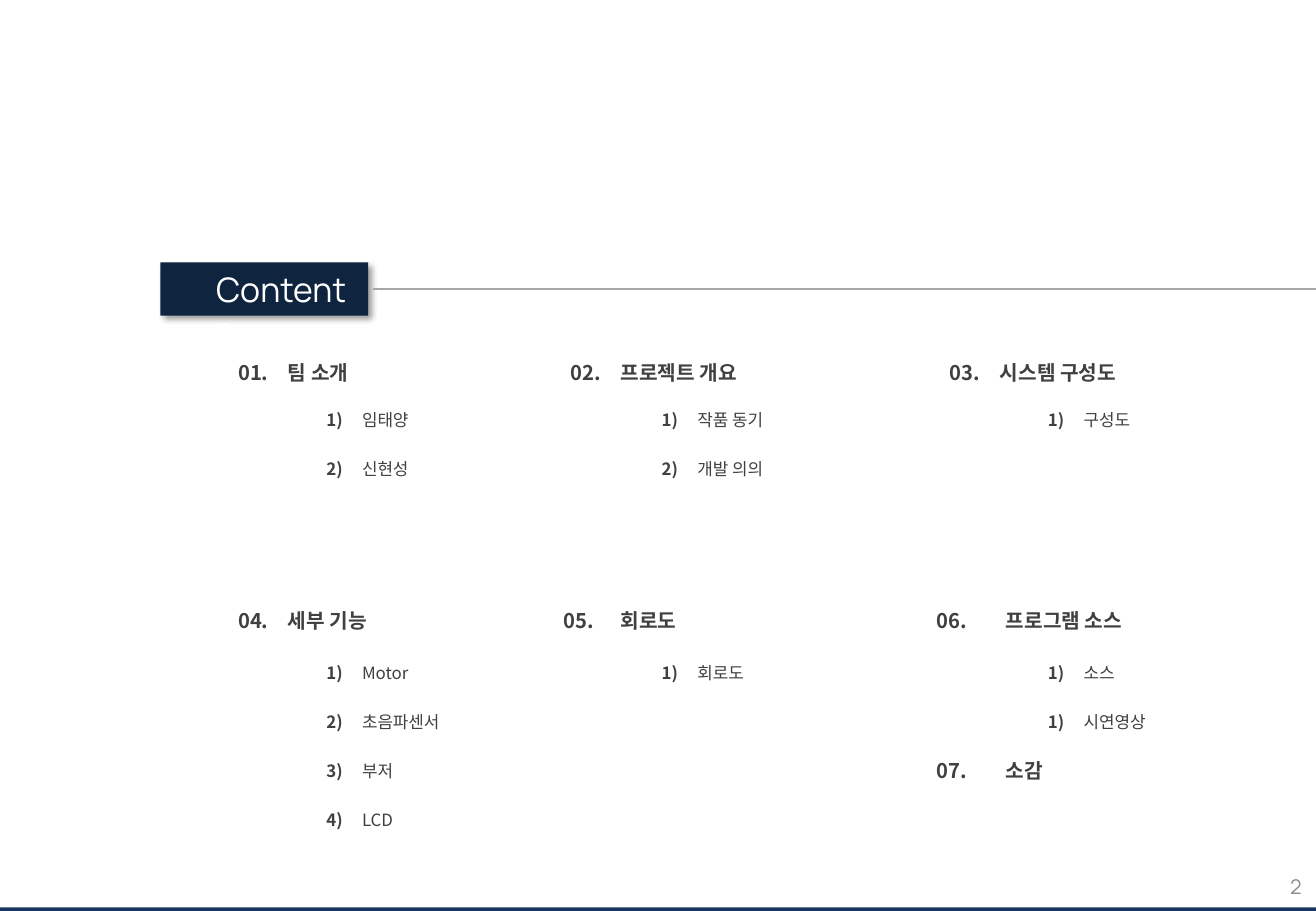
from dataclasses import dataclass
from lxml import etree
from pptx import Presentation
from pptx.dml.color import RGBColor
from pptx.enum.shapes import MSO_CONNECTOR, MSO_SHAPE
from pptx.enum.text import MSO_ANCHOR, PP_ALIGN
from pptx.oxml.ns import qn
from pptx.util import Pt

RECT, LINE = MSO_SHAPE.RECTANGLE, MSO_CONNECTOR.STRAIGHT
LEFT, RIGHT = PP_ALIGN.LEFT, PP_ALIGN.RIGHT
TOP, MIDDLE = MSO_ANCHOR.TOP, MSO_ANCHOR.MIDDLE
PX = 4572  # 200 px to the inch
WIDE, HIGH = 2166, 1500


@dataclass(frozen=True)
class Theme:
    navy: str = "0F243E"
    blue: str = "17375E"
    white: str = "FFFFFF"
    ink: str = "404040"
    rule: str = "A6A6A6"
    pale: str = "8C8C8C"
    head: str = "Manrope"
    body: str = "Noto Sans CJK KR"
    title: int = 20
    topic: int = 12
    item: int = 10
    page: int = 12


T = Theme()

COLS = [122, 122, 284, 48, 94, 126, 88, 256, 50, 104, 138, 130, 236]
ROWS = [76] + [81] * 4 + [92] + [81] * 4
INSET = 16
TAB = 114

# Each block: number column, topic span, item text span
BLOCKS = [(0, 2, 1), (4, 3, 2), (9, 3, 2)]

# Each topic: block, row, number, name, items, number alignment
TOPICS = [
    (0, 0, "01.", "팀 소개", ["1) 임태양", "2) 신현성"], RIGHT),
    (1, 0, "02.", "프로젝트 개요", ["1) 작품 동기", "2) 개발 의의"], RIGHT),
    (2, 0, "03.", "시스템 구성도", ["1) 구성도"], RIGHT),
    (0, 5, "04.", "세부 기능",
     ["1) Motor", "2) 초음파센서", "3) 부저", "4) LCD"], RIGHT),
    (1, 5, "05.", "회로도", ["1) 회로도"], LEFT),
]

# Topics whose number and name share one cell: row, span, text, items
JOINT = [
    (5, 4, "06.\t프로그램 소스", ["1) 소스", "1) 시연영상"]),
    (8, 2, "07.\t소감", []),
]


def px(*vals):
    return [round(v * PX) for v in vals]


def rgb(code):
    return RGBColor.from_string(code)


def write(frame, text, font=T.body, size=T.item, color=T.ink, bold=False,
          align=LEFT, anchor=MIDDLE, tab=None):
    frame.vertical_anchor = anchor
    para = frame.paragraphs[0]
    para.alignment = align
    if tab:
        stops = etree.SubElement(para._p.get_or_add_pPr(), qn("a:tabLst"))
        etree.SubElement(stops, qn("a:tab"), pos=str(tab * PX), algn="l")
    run = para.add_run()
    run.text = text
    face = run.font
    face.name, face.size, face.bold = font, Pt(size), bold
    face.color.rgb = rgb(color)
    etree.SubElement(run._r.get_or_add_rPr(), qn("a:ea"), typeface=font)


def add_box(slide, x, y, w, h, fill):
    box = slide.shapes.add_shape(RECT, *px(x, y, w, h))
    box.shadow.inherit = False
    box.fill.solid()
    box.fill.fore_color.rgb = rgb(fill)
    box.line.fill.background()
    return box


def add_text(slide, x, y, w, h, text, wrap=True, **style):
    frame = slide.shapes.add_textbox(*px(x, y, w, h)).text_frame
    frame.word_wrap = wrap
    write(frame, text, **style)


def add_shade(shape):
    effects = shape._element.spPr.find(qn("a:effectLst"))
    shade = etree.SubElement(
        effects, qn("a:outerShdw"), blurRad=str(Pt(4)), dist=str(Pt(3)),
        dir="2700000", algn="tl", rotWithShape="0")
    color = etree.SubElement(shade, qn("a:srgbClr"), val="000000")
    etree.SubElement(color, qn("a:alpha"), val="40000")


def add_header(slide, x, y, w, h):
    # Title tag
    tag = 342
    add_shade(add_box(slide, x, y, tag, h, T.navy))
    add_text(slide, x + 72, y, 276, h, "Contents", wrap=False, font=T.head,
             size=T.title, color=T.white, anchor=TOP)
    # Rule to the slide edge
    mid = y + h / 2
    rule = slide.shapes.add_connector(LINE, *px(x + tag + 8, mid, x + w, mid))
    rule.line.color.rgb = rgb(T.rule)
    rule.line.width = Pt(1.5)
    etree.SubElement(rule._element.spPr, qn("a:effectLst"))


def fill_cell(table, row, col, text, span=1, **style):
    cell = table.cell(row, col)
    if span > 1:
        cell.merge(table.cell(row, col + span - 1))
    write(cell.text_frame, text, **style)
    cell.vertical_anchor = MIDDLE


def fill_items(table, row, col, span, items):
    for at, item in enumerate(items, row + 1):
        mark, name = item.split(" ", 1)
        fill_cell(table, at, col, mark, bold=True, align=RIGHT)
        fill_cell(table, at, col + 1, name, span)


def add_topics(slide, x, y):
    table = slide.shapes.add_table(
        len(ROWS), len(COLS), *px(x, y, sum(COLS), sum(ROWS))).table
    table.first_row = table.horz_banding = False
    for col, wide in zip(table.columns, COLS):
        col.width = wide * PX
    for row, high in zip(table.rows, ROWS):
        row.height = high * PX
    for cell in table.iter_cells():
        cell.fill.background()
        cell.margin_left = cell.margin_right = INSET * PX
        cell.margin_top = cell.margin_bottom = 0

    # Topics with the number in its own cell
    topic = dict(size=T.topic, bold=True)
    for block, row, mark, name, items, align in TOPICS:
        col, span, part = BLOCKS[block]
        fill_cell(table, row, col, mark, align=align, **topic)
        fill_cell(table, row, col + 1, name, span, **topic)
        fill_items(table, row, col + 1, part, items)

    # Topics in one joint cell
    col, _, part = BLOCKS[-1]
    for row, span, text, items in JOINT:
        fill_cell(table, row, col, text, span, tab=TAB, **topic)
        fill_items(table, row, col + 1, part, items)


def add_footer(slide, x, y, w, h):
    bar = 6
    add_box(slide, x, y + h - bar, w, bar, T.blue)
    add_text(slide, x + w - 510, y, 506, h, "2", font=T.head, size=T.page,
             color=T.pale, align=RIGHT)


def main():
    deck = Presentation()
    deck.slide_width, deck.slide_height = px(WIDE, HIGH)
    slide = deck.slides.add_slide(deck.slide_layouts[6])
    add_header(slide, 264, 432, WIDE - 264, 88)
    add_topics(slide, 336, 574)
    add_footer(slide, 0, 1420, WIDE, 80)
    deck.save("out.pptx")


if __name__ == "__main__":
    main()
